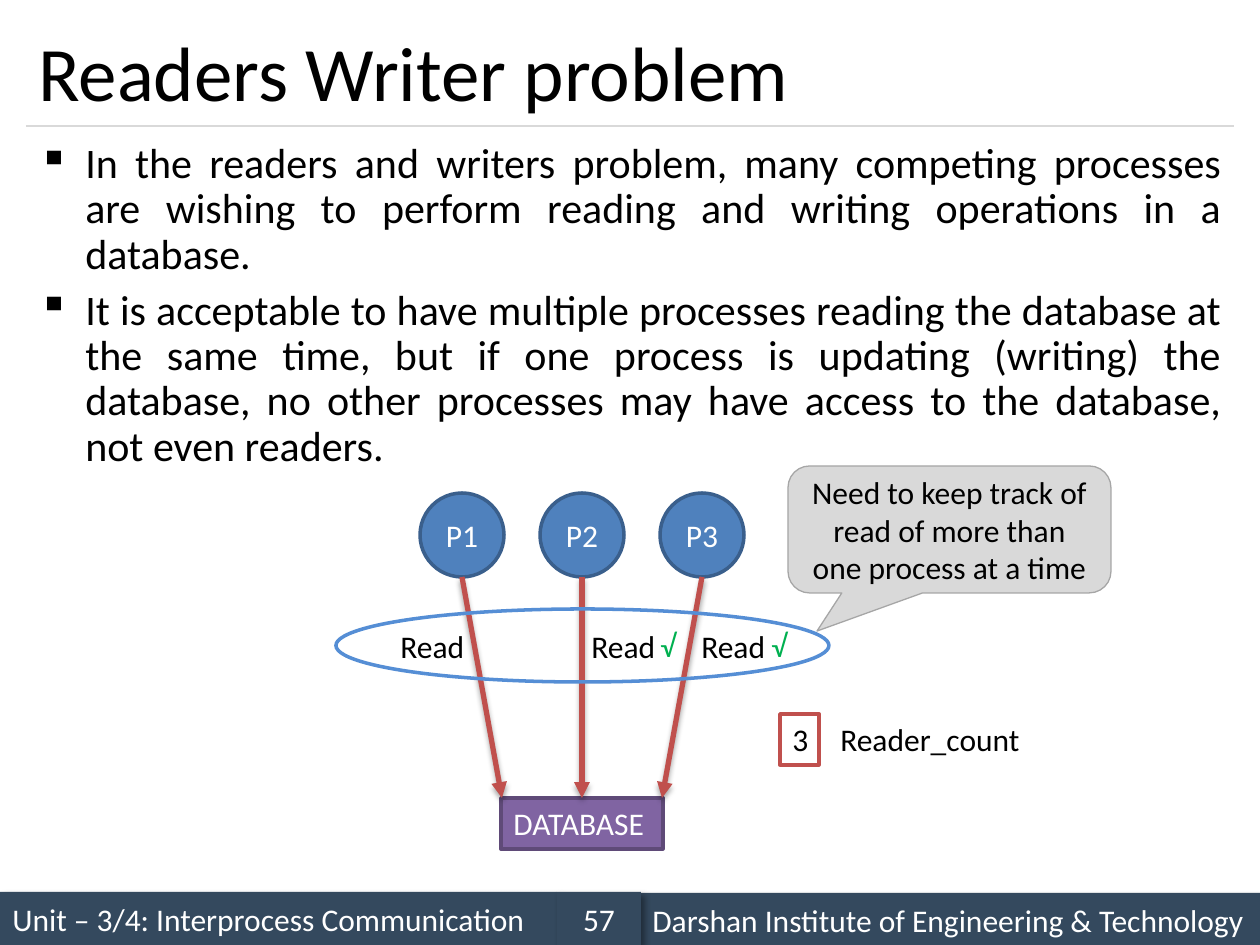
from dataclasses import dataclass

from lxml import etree
from pptx import Presentation
from pptx.dml.color import RGBColor
from pptx.enum.shapes import MSO_CONNECTOR, MSO_SHAPE
from pptx.enum.text import MSO_ANCHOR, PP_ALIGN
from pptx.oxml.ns import qn
from pptx.util import Emu, Pt

RECT, OVAL = MSO_SHAPE.RECTANGLE, MSO_SHAPE.OVAL
CALLOUT = MSO_SHAPE.ROUNDED_RECTANGULAR_CALLOUT
STRAIGHT = MSO_CONNECTOR.STRAIGHT
TOP, MIDDLE = MSO_ANCHOR.TOP, MSO_ANCHOR.MIDDLE
LEFT, CENTER, JUSTIFY = PP_ALIGN.LEFT, PP_ALIGN.CENTER, PP_ALIGN.JUSTIFY
PX_PER_INCH = 126
FONT = "Calibri"
BLACK, WHITE, GREEN, RED, SLATE = "000000", "FFFFFF", "00B050", "C0504D", "34495E"


@dataclass(frozen=True)
class Box:
    """Place of an element in px."""
    left: int
    top: int
    width: int
    height: int


@dataclass(frozen=True)
class Shadow:
    """Outer shadow: opacity in percent, lengths in points, angle in degrees."""
    opacity: int
    blur: float
    distance: float
    angle: int


@dataclass(frozen=True)
class Label:
    """Short text standing on the diagram."""
    text: str
    box: Box
    color: str = BLACK


FOOTER_SHADOW = Shadow(40, 4, 3, 45)
ARROW_SHADOW = Shadow(35, 3.1, 1.8, 90)
FOOTERS = [
    ("Unit – 3/4: Interprocess Communication", Box(0, 892, 557, 53), LEFT),
    ("Darshan Institute of Engineering & Technology", Box(640, 893, 620, 53), LEFT),
    ("57", Box(557, 892, 84, 53), CENTER),
]
POINTS = [
    "In the readers and writers problem, many competing processes are wishing to "
    "perform reading and writing operations in a database.",
    "It is acceptable to have multiple processes reading the database at the same "
    "time, but if one process is updating (writing) the database, no other processes "
    "may have access to the database, not even readers. ",
]
LABELS = [
    *(Label("Read", Box(left, 621, 89, 51)) for left in (388, 579, 689)),
    *(Label("√", Box(left, 620, 42, 51), GREEN) for left in (648, 759)),
    Label("Reader_count", Box(828, 714, 212, 51)),
]


def px(length: int) -> Emu:
    """Turn px into EMU."""
    return Emu(round(length * 914400 / PX_PER_INCH))


def place(box: Box) -> tuple:
    """Give the four EMU lengths of a box."""
    return px(box.left), px(box.top), px(box.width), px(box.height)


def rgb(color: str) -> RGBColor:
    """Turn a hex string into a colour."""
    return RGBColor.from_string(color)


def add_shadow(effects, shadow: Shadow) -> None:
    """Put an outer shadow into an effect list."""
    outer = etree.SubElement(
        effects, qn("a:outerShdw"), blurRad=str(Pt(shadow.blur)),
        dist=str(Pt(shadow.distance)), dir=str(shadow.angle * 60000),
        algn="tl", rotWithShape="0")
    shade = etree.SubElement(outer, qn("a:srgbClr"), val=BLACK)
    etree.SubElement(shade, qn("a:alpha"), val=str(shadow.opacity * 1000))


def write(paragraph, text: str, color: str, size: int = 18) -> None:
    """Add one run to a paragraph."""
    run = paragraph.add_run()
    run.text = text
    run.font.name, run.font.size = FONT, Pt(size)
    run.font.color.rgb = rgb(color)


def add_text(slide, label: Label, size: int = 18, anchor=TOP, wrap: bool = False) -> None:
    """Draw a one-paragraph text box."""
    frame = slide.shapes.add_textbox(*place(label.box)).text_frame
    frame.word_wrap, frame.vertical_anchor = wrap, anchor
    write(frame.paragraphs[0], label.text, label.color, size)


def add_points(slide, box: Box) -> None:
    """Draw the bulleted body text."""
    frame = slide.shapes.add_textbox(*place(box)).text_frame
    frame.word_wrap = True
    for index, point in enumerate(POINTS):
        paragraph = frame.add_paragraph() if index else frame.paragraphs[0]
        properties = paragraph._p.get_or_add_pPr()
        properties.set("marL", str(px(47)))
        properties.set("indent", str(px(-47)))
        etree.SubElement(properties, qn("a:buChar"), char="▪")
        paragraph.alignment, paragraph.line_spacing = JUSTIFY, 0.9
        paragraph.space_before = Pt(6 if index else 0)
        write(paragraph, point, BLACK, 24)


def add_block(slide, kind, box: Box, fill: str = "", line: str = "", weight: float = 2,
              text: str = "", color: str = WHITE, align=CENTER, anchor=MIDDLE,
              wrap: bool = False):
    """Draw a preset shape with its text."""
    block = slide.shapes.add_shape(kind, *place(box))
    block.shadow.inherit = False
    if fill:
        block.fill.solid()
        block.fill.fore_color.rgb = rgb(fill)
    else:
        block.fill.background()
    if line:
        block.line.color.rgb, block.line.width = rgb(line), Pt(weight)
    else:
        block.line.fill.background()
    if text:
        frame = block.text_frame
        frame.word_wrap, frame.vertical_anchor = wrap, anchor
        frame.paragraphs[0].alignment = align
        write(frame.paragraphs[0], text, color)
    return block


def add_line(slide, start: tuple[int, int], end: tuple[int, int], color: str, weight: float):
    """Draw a straight connector and return it with its empty effect list."""
    line = slide.shapes.add_connector(STRAIGHT, *map(px, (*start, *end)))
    line.line.color.rgb, line.line.width = rgb(color), Pt(weight)
    return line, etree.SubElement(line._element.spPr, qn("a:effectLst"))


def add_arrow(slide, start: tuple[int, int], end: tuple[int, int]):
    """Draw a shadowed access arrow."""
    arrow, effects = add_line(slide, start, end, RED, 3)
    etree.SubElement(arrow.line._get_or_add_ln(), qn("a:tailEnd"), type="triangle")
    add_shadow(effects, ARROW_SHADOW)
    return arrow


def add_diagram(slide) -> None:
    """Draw the three readers, the database and the reader count."""
    database_box = Box(501, 798, 162, 51)
    center = database_box.left + database_box.width // 2
    diameter, pitch, process_top = 84, 120, 493
    database = add_block(slide, RECT, database_box, "8064A2", "5F4A78",
                         text="DATABASE", align=LEFT, anchor=TOP)
    for number, side in enumerate((-1, 0, 1), 1):
        middle = center + side * pitch
        add_block(slide, OVAL, Box(middle - diameter // 2, process_top, diameter, diameter),
                  "4F81BD", "3A5F8C", text=f"P{number}")
        target = center + side * (database_box.width // 2 - 1)
        access = add_arrow(slide, (middle, process_top + diameter), (target, database_box.top))
        if side == 0:
            access.end_connect(database, 0)
    for label in LABELS:
        add_text(slide, label)
    add_block(slide, RECT, Box(780, 714, 39, 51), WHITE, RED,
              text="3", color=BLACK, align=LEFT, anchor=TOP)
    add_block(slide, OVAL, Box(336, 609, 493, 73), line="558ED5")
    note = add_block(slide, CALLOUT, Box(788, 466, 323, 127), "D9D9D9", "A6A6A6", 0.75,
                     "Need to keep track of read of more than one process at a time",
                     BLACK, wrap=True)
    for index, value in enumerate((-0.41, 0.8, 0.17)):
        note.adjustments[index] = value


def main() -> None:
    """Build and save the slide."""
    deck = Presentation()
    deck.slide_width, deck.slide_height = px(1260), px(945)
    slide = deck.slides.add_slide(deck.slide_layouts[6])
    for text, box, align in FOOTERS:
        footer = add_block(slide, RECT, box, SLATE, text=text, align=align, wrap=True)
        add_shadow(footer._element.spPr.find(qn("a:effectLst")), FOOTER_SHADOW)
    add_line(slide, (26, 126), (1234, 126), "D9D9D9", 0.75)
    add_text(slide, Label("Readers Writer problem", Box(26, 15, 1208, 111)), 44, MIDDLE, True)
    add_points(slide, Box(26, 136, 1208, 735))
    add_diagram(slide)
    deck.save("out.pptx")


if __name__ == "__main__":
    main()
